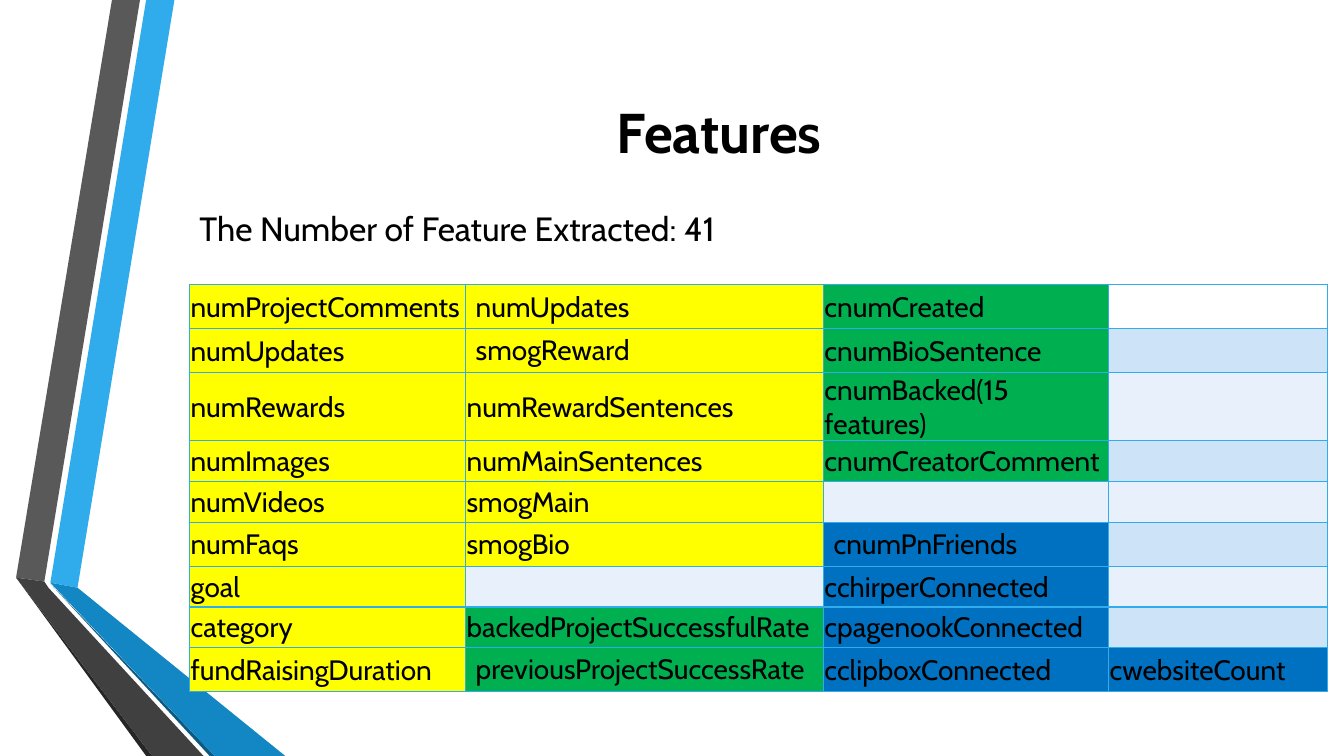
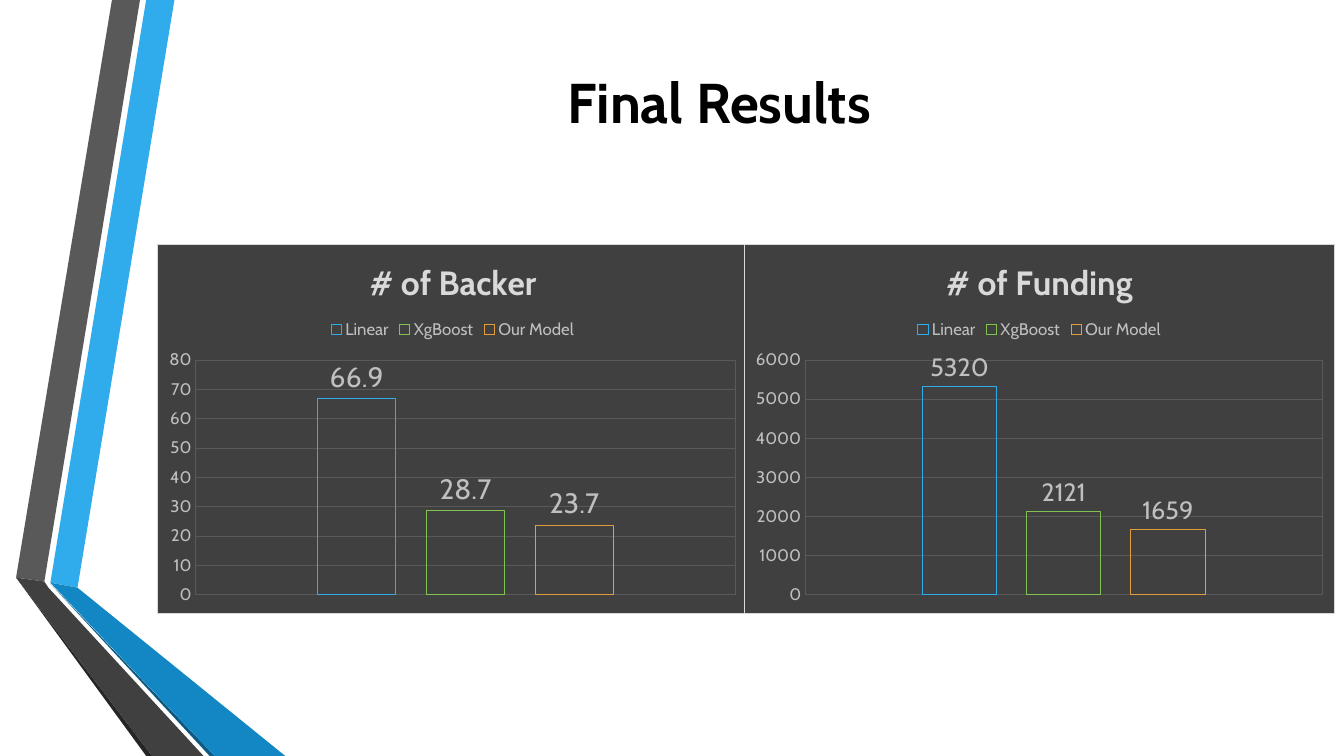
"""Two slides on project features and final model results."""
from pptx import Presentation
from pptx import util as u
from pptx.chart.data import CategoryChartData
from pptx.dml.color import RGBColor
from pptx.enum import chart as ch, text
from pptx.oxml import parse_xml
from pptx.oxml.ns import nsdecls, qn

COLORS = {
    "text": "000000", "blue": "30ACEC", "blue_mid": "1287C3", "blue_dark": "0C5A82",
    "gray": "595959", "gray_mid": "404040", "gray_dark": "262626",
    "label": "BFBFBF", "heading": "D9D9D9", "green": "80C34F", "orange": "E29D3E",
    "Y": "FFFF00", "G": "00B050", "B": "0070C0",
    "band_odd": "CDE3F8", "band_even": "E8F1FB",
}
BANDS = [
    ("blue", [(36, 416.2), (55.4, 419.8), (124.6, 0), (104.4, 0)]),
    ("gray", [(100, 0), (80, 0), (11.5, 412.6), (31.7, 415.4)]),
    ("gray_dark", [(11.5, 412.6), (104.4, 540), (108.7, 540)]),
    ("blue_dark", [(36, 416.9), (149.8, 540), (153.4, 540)]),
    ("blue_mid", [(36, 416.2), (153.4, 540), (203.8, 540), (55.4, 419.8)]),
    ("gray_mid", [(145.4, 540), (34.6, 419.8), (31.7, 415.4), (11.5, 412.6),
                  (108.7, 540)]),
]


def rgb(name):
    """Return the named palette colour."""
    return RGBColor.from_string(COLORS[name])


def set_layout(parent, before, **parts):
    """Give a chart part a manual layout, placed before the given child."""
    for old in parent.findall(qn("c:layout")):
        parent.remove(old)
    modes = "".join(f'<c:{k}Mode val="edge"/>' for k in "xy")
    values = "".join(f'<c:{k} val="{v:.3f}"/>' for k, v in parts.items())
    target = '<c:layoutTarget val="inner"/>' if "w" in parts else ""
    parent.find(qn(before)).addprevious(parse_xml(
        f'<c:layout {nsdecls("c")}><c:manualLayout>{target}{modes}{values}'
        "</c:manualLayout></c:layout>"))


class Deck:
    """Holds the presentation, its style and the current slide."""

    font = "Cabin"

    def __init__(self):
        """Start a widescreen presentation."""
        self.prs = Presentation()
        self.prs.slide_width, self.prs.slide_height = u.Pt(960), u.Pt(540)
        self.s = None

    def style(self, font, size, color, bold=False):
        """Apply the deck typeface to a font."""
        font.name, font.size, font.bold = self.font, u.Pt(size), bold
        font.color.rgb = rgb(color)

    def run(self, p, words, size, color="text", bold=False):
        """Add one styled run to a paragraph."""
        r = p.add_run()
        r.text = words
        self.style(r.font, size, color, bold)

    def slide(self, title, top, height):
        """Add a slide with the side bands and a centred title."""
        self.s = self.prs.slides.add_slide(self.prs.slide_layouts[6])
        for color, points in BANDS:
            self.band(color, points)
        self.text(title, 119.5, top, 788.4, height, 40, bold=True,
                  align=text.PP_ALIGN.CENTER, anchor=text.MSO_ANCHOR.MIDDLE)

    def band(self, color, points):
        """Draw one filled polygon."""
        start, *rest = [(u.Pt(x), u.Pt(y)) for x, y in points]
        builder = self.s.shapes.build_freeform(*start)
        builder.add_line_segments(rest, close=True)
        sp = builder.convert_to_shape()
        sp.shadow.inherit = False
        sp.fill.solid()
        sp.fill.fore_color.rgb = rgb(color)
        sp.line.fill.background()

    def text(self, words, x, y, w, h, size, bold=False,
             align=text.PP_ALIGN.LEFT, anchor=text.MSO_ANCHOR.TOP):
        """Add a wrapped text box with one paragraph."""
        tf = self.s.shapes.add_textbox(u.Pt(x), u.Pt(y), u.Pt(w), u.Pt(h)).text_frame
        tf.word_wrap, tf.vertical_anchor = True, anchor
        p = tf.paragraphs[0]
        p.alignment = align
        self.run(p, words, size, bold=bold)

    def table(self, x, y, widths, row_height, rows, padded):
        """Add a bordered table; each row is (fill keys, cell texts)."""
        frame = self.s.shapes.add_table(len(rows), len(widths), u.Pt(x), u.Pt(y),
                                        u.Pt(sum(widths)), u.Pt(row_height * len(rows)))
        table = frame.table
        table.first_row = table.horz_banding = False
        for column, width in zip(table.columns, widths):
            column.width = u.Pt(width)
        for i, (fills, words) in enumerate(rows):
            table.rows[i].height = u.Pt(row_height)
            for j, (key, word) in enumerate(zip(fills, words)):
                if key == ".":
                    key = ("band_odd" if i % 2 else "band_even") if i else None
                self.cell(table.cell(i, j), word, key, (i, j) in padded)

    def cell(self, cell, words, fill, padded):
        """Fill, border and write one table cell."""
        if fill:
            cell.fill.solid()
            cell.fill.fore_color.rgb = rgb(fill)
        else:
            cell.fill.background()
        if not padded:
            cell.margin_left = cell.margin_right = cell.margin_top = u.Pt(0.72)
            cell.margin_bottom = 0
            cell.vertical_anchor = text.MSO_ANCHOR.MIDDLE
        if words:
            self.run(cell.text_frame.paragraphs[0], words, 20)
        tc_pr = cell._tc.get_or_add_tcPr()
        for n, side in enumerate("LRTB"):
            tc_pr.insert(n, parse_xml(
                f'<a:ln{side} {nsdecls("a")} w="{u.Pt(1)}"><a:solidFill>'
                f'<a:srgbClr val="{COLORS["blue"]}"/></a:solidFill></a:ln{side}>'))

    def chart(self, title, x, values, top_value, step, label_size, title_x, plot_x):
        """Add a dark column chart with one outlined column per model."""
        data = CategoryChartData()
        data.categories = ["1"]
        for name, value in values.items():
            data.add_series(name, [value])
        chart = self.s.shapes.add_chart(
            ch.XL_CHART_TYPE.COLUMN_CLUSTERED, u.Pt(x), u.Pt(174.2), u.Pt(421.9),
            u.Pt(264.2), data).chart
        self.style(chart.font, 10, "text")
        chart.has_title = True
        self.run(chart.chart_title.text_frame.paragraphs[0], title, 24, "heading", True)
        chart.has_legend = True
        chart.legend.position = ch.XL_LEGEND_POSITION.TOP
        chart.legend.include_in_layout = False
        self.style(chart.legend.font, 12, "label")
        self.axes(chart, top_value, step)
        self.columns(chart.plots[0], label_size)

        root = chart.element
        set_layout(root.find(".//" + qn("c:title")), "c:overlay", x=title_x, y=0.022)
        set_layout(root.find(".//" + qn("c:legend")), "c:overlay", x=0.285, y=0.193)
        set_layout(root.find(".//" + qn("c:plotArea")), "c:barChart",
                   x=plot_x, y=0.314, w=0.98 - plot_x, h=0.636)
        root.find(qn("c:chart")).addnext(parse_xml(
            f'<c:spPr {nsdecls("c", "a")}><a:solidFill><a:srgbClr '
            f'val="{COLORS["gray_mid"]}"/></a:solidFill><a:ln w="{u.Pt(0.75)}">'
            f'<a:solidFill><a:srgbClr val="{COLORS["heading"]}"/></a:solidFill>'
            "</a:ln></c:spPr>"))

    def axes(self, chart, top_value, step):
        """Set the scale and gridlines, and hide the category axis."""
        for axis in (chart.category_axis, chart.value_axis):
            axis.has_major_gridlines = True
            line = axis.major_gridlines.format.line
            line.width, line.color.rgb = u.Pt(0.75), rgb("gray")
            axis.major_tick_mark = ch.XL_TICK_MARK.NONE
        chart.category_axis.visible = False
        axis = chart.value_axis
        axis.minimum_scale, axis.maximum_scale, axis.major_unit = 0, top_value, step
        axis.format.line.fill.background()
        self.style(axis.tick_labels.font, 12, "label")

    def columns(self, plot, label_size):
        """Outline each series and label it with its value."""
        plot.gap_width, plot.overlap, plot.vary_by_categories = 315, -40, False
        for series, color in zip(plot.series, ("blue", "green", "orange")):
            series.format.fill.background()
            line = series.format.line
            line.width, line.color.rgb = u.Pt(0.75), rgb(color)
            labels = series.data_labels
            labels.show_value = True
            labels.position = ch.XL_LABEL_POSITION.OUTSIDE_END
            self.style(labels.font, label_size, "label")


FEATURES = [
    ("YYG.", ("numProjectComments", "numUpdates", "cnumCreated", "")),
    ("YYG.", ("numUpdates", "smogReward", "cnumBioSentence", "")),
    ("YYG.", ("numRewards", "numRewardSentences", "cnumBacked(15 features)", "")),
    ("YYG.", ("numImages", "numMainSentences", "cnumCreatorComment", "")),
    ("YY..", ("numVideos", "smogMain", "", "")),
    ("YYB.", ("numFaqs", "smogBio", "cnumPnFriends", "")),
    ("Y.B.", ("goal", "", "cchirperConnected", "")),
    ("YGB.", ("category", "backedProjectSuccessfulRate", "cpagenookConnected", "")),
    ("YGBB", ("fundRaisingDuration", "previousProjectSuccessRate",
              "cclipboxConnected", "cwebsiteCount")),
]

deck = Deck()
deck.slide("Features", 45.4, 95.8)
deck.text("The Number of Feature Extracted: 41", 135.4, 144.7, 588.2, 36, 24)
deck.table(135.4, 203.5, (197.2, 255.6, 203.7, 156.4), 29.2, FEATURES,
           padded={(0, 1), (1, 1), (5, 2), (8, 1)})

deck.slide("Final Results", 36, 72)
deck.chart("# of Backer", 112.3, {"Linear": 66.9, "XgBoost": 28.7, "Our Model": 23.7},
           80, 10, label_size=20, title_x=0.349, plot_x=0.064)
deck.chart("# of Funding", 531.4, {"Linear": 5320, "XgBoost": 2121, "Our Model": 1659},
           6000, 1000, label_size=18, title_x=0.332, plot_x=0.103)
deck.prs.save("out.pptx")
